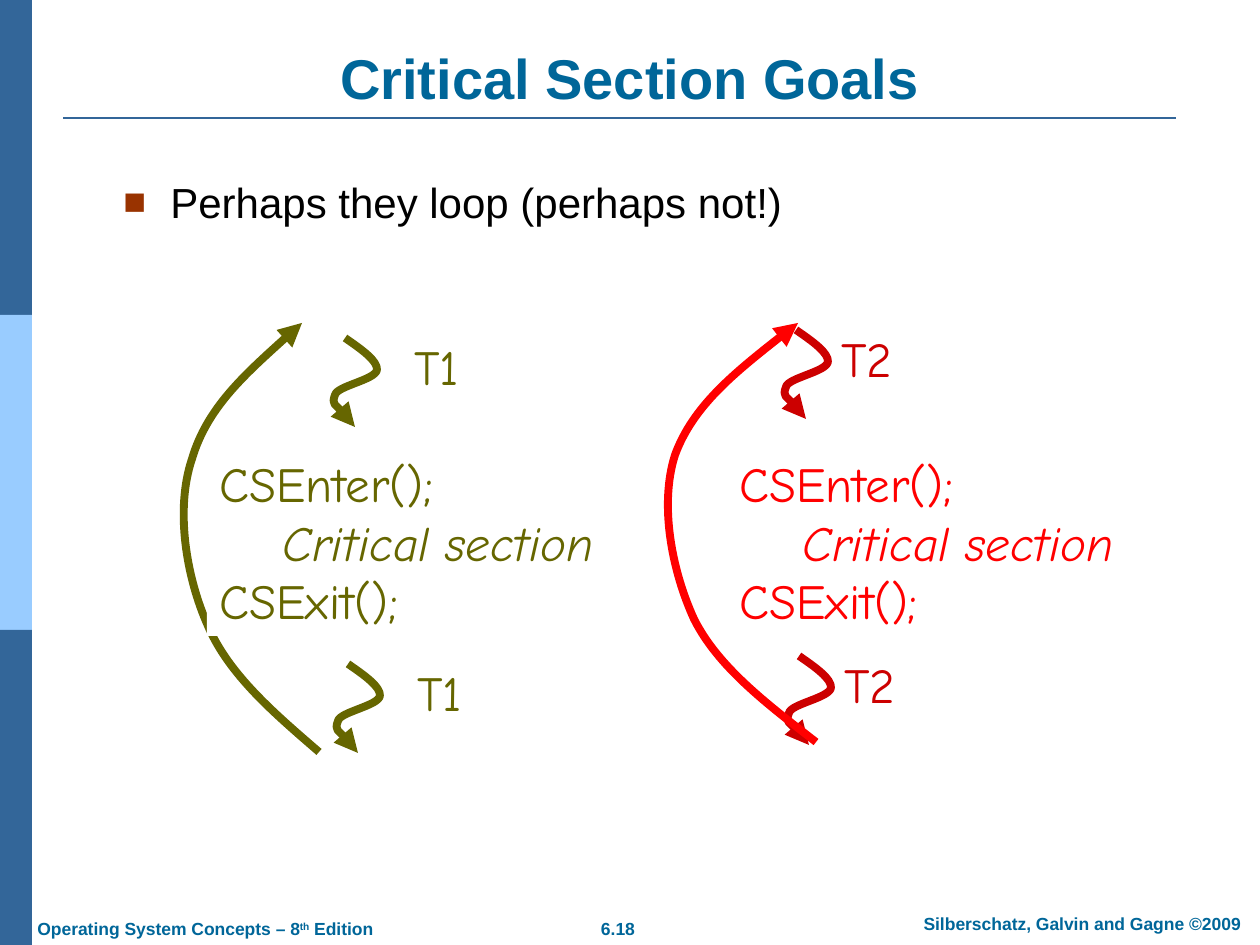
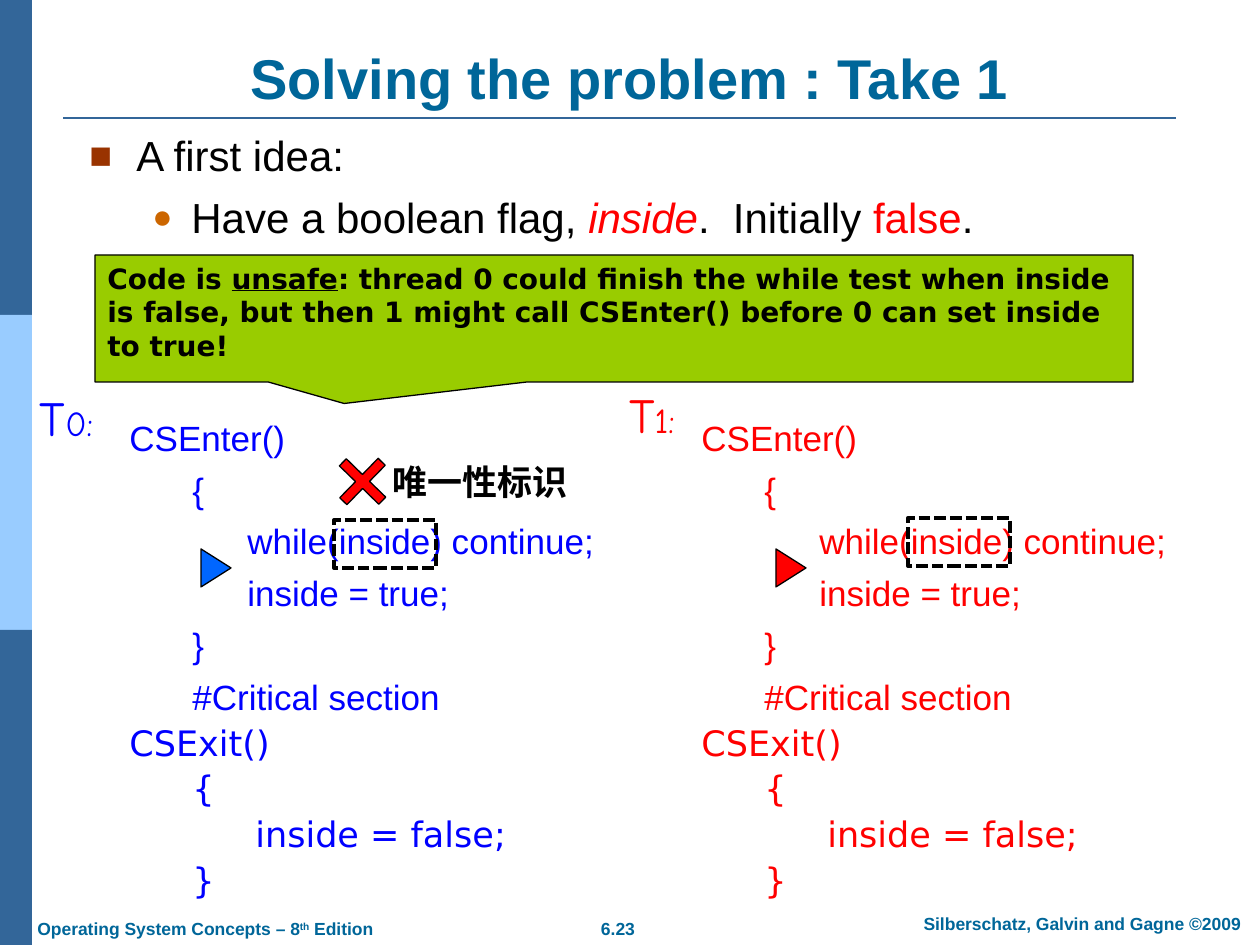
from dataclasses import dataclass, replace

from lxml.etree import SubElement
from pptx import Presentation
from pptx.dml.color import RGBColor
from pptx.enum.dml import MSO_LINE
from pptx.enum.shapes import MSO_CONNECTOR, MSO_SHAPE
from pptx.enum.text import MSO_ANCHOR, PP_ALIGN
from pptx.oxml.ns import qn
from pptx.util import Emu, Pt

SCALE = 914400 / 126  # EMU in one px
WIDTH, HEIGHT = 1260, 945

BLACK = RGBColor(0x00, 0x00, 0x00)
WHITE = RGBColor(0xFF, 0xFF, 0xFF)
NAVY = RGBColor(0x33, 0x66, 0x99)
SKY = RGBColor(0x99, 0xCC, 0xFF)
TEAL = RGBColor(0x00, 0x66, 0x99)
OLIVE = RGBColor(0x66, 0x66, 0x00)
CRIMSON = RGBColor(0xCC, 0x00, 0x00)
RED = RGBColor(0xFF, 0x00, 0x00)
BLUE = RGBColor(0x00, 0x00, 0xFF)
AZURE = RGBColor(0x00, 0x66, 0xFF)
LIME = RGBColor(0x99, 0xCC, 0x00)
RUST = RGBColor(0x99, 0x33, 0x00)
ORANGE = RGBColor(0xCC, 0x66, 0x00)

SANS, HAND, WIDE = "Arial", "Comic Neue", "DejaVu Sans"
LEFT, CENTER, RIGHT = PP_ALIGN.LEFT, PP_ALIGN.CENTER, PP_ALIGN.RIGHT
TOP, MIDDLE, BOTTOM = MSO_ANCHOR.TOP, MSO_ANCHOR.MIDDLE, MSO_ANCHOR.BOTTOM


def px(n):
    return Emu(round(n * SCALE))


@dataclass(frozen=True)
class Style:
    size: int
    color: RGBColor
    font: str = SANS
    bold: bool = False
    italic: bool = False
    underline: bool = False
    raised: bool = False


@dataclass(frozen=True)
class Bullet:
    char: str
    color: RGBColor
    percent: int
    hang: int


@dataclass(frozen=True)
class Para:
    runs: list  # (text, Style) pairs
    indent: int = 0
    before: float = 0
    spacing: float = 1.0
    bullet: Bullet = None


TITLE = Style(32, TEAL, bold=True)
FOOTER = Style(10, TEAL, bold=True)
BODY = Style(24, BLACK)
SQUARE = Bullet("■", RUST, 90, 47)
DOT = Bullet("●", ORANGE, 80, 39)


class Deck:
    """Holds the shared look and the slide being built."""

    def __init__(self):
        self.prs = Presentation()
        self.prs.slide_width, self.prs.slide_height = px(WIDTH), px(HEIGHT)
        self.s = None

    def new_slide(self, title, number):
        self.s = self.prs.slides.add_slide(self.prs.slide_layouts[6])
        band = HEIGHT // 3
        for i, color in enumerate((NAVY, SKY, NAVY)):
            self.shape(MSO_SHAPE.RECTANGLE, (0, i * band, 32, band), color)
        self.rule(63, 1176, 118)
        self.line_of_text((587, 911, 62, 34), number, FOOTER)
        self.text((878, 907, 375, 34),
                  [Para([("Silberschatz, Galvin and Gagne ©2009", FOOTER)])], align=RIGHT)
        self.text((25, 912, 363, 34),
                  [Para([("Operating System Concepts – 8", FOOTER),
                         ("th", replace(FOOTER, raised=True)),
                         (" Edition", FOOTER)])])
        self.text((63, 38, 1134, 79), [Para([(title, TITLE)])], BOTTOM, CENTER)

    def rule(self, x1, x2, y):
        c = self.s.shapes.add_connector(MSO_CONNECTOR.STRAIGHT, px(x1), px(y), px(x2), px(y))
        c.line.color.rgb, c.line.width = NAVY, Pt(1.5)
        SubElement(c._element.spPr, qn("a:effectLst"))

    def shape(self, kind, box, fill=None, line=None, width=0.75, rotation=0, adjust=()):
        sp = self.s.shapes.add_shape(kind, *map(px, box))
        sp.shadow.inherit = False
        sp.rotation = rotation
        for i, value in enumerate(adjust):
            sp.adjustments[i] = value
        if fill is None:
            sp.fill.background()
        else:
            sp.fill.solid()
            sp.fill.fore_color.rgb = fill
        if line is None:
            sp.line.fill.background()
        else:
            sp.line.color.rgb, sp.line.width = line, Pt(width)
        return sp

    def text(self, box, paras, anchor=TOP, align=LEFT, wrap=True):
        sp = self.s.shapes.add_textbox(*map(px, box))
        self.set_text(sp, paras, anchor, align, wrap)

    def line_of_text(self, box, text, style):
        self.text(box, [Para([(text, style)])], MIDDLE, CENTER, wrap=False)

    def set_text(self, sp, paras, anchor=TOP, align=LEFT, wrap=True):
        tf = sp.text_frame
        tf.word_wrap, tf.vertical_anchor = wrap, anchor
        for i, para in enumerate(paras):
            p = tf.add_paragraph() if i else tf.paragraphs[0]
            p.alignment, p.line_spacing = align, para.spacing
            p.space_before = Pt(para.before if i else 0)
            self.indent(p, para)
            for text, style in para.runs:
                self.run(p, text, style)

    def indent(self, p, para):
        pPr = p._p.get_or_add_pPr()
        pPr.set("marL", str(px(para.indent)))
        b = para.bullet
        pPr.set("indent", str(px(-b.hang if b else 0)))
        if b:
            color = SubElement(pPr, qn("a:buClr"))
            SubElement(color, qn("a:srgbClr"), val=str(b.color))
            SubElement(pPr, qn("a:buSzPct"), val=str(b.percent * 1000))
            SubElement(pPr, qn("a:buFont"), typeface=SANS)
            SubElement(pPr, qn("a:buChar"), char=b.char)

    def run(self, p, text, style):
        r = p.add_run()
        r.text = text
        f = r.font
        f.name, f.size, f.color.rgb = style.font, Pt(style.size), style.color
        f.bold, f.italic, f.underline = style.bold, style.italic, style.underline
        if style.raised:
            r._r.get_or_add_rPr().set("baseline", "30000")

    def curve(self, points, color):
        """Draw an arrow along cubic curves: a start, then three points per curve."""
        start, *rest = points
        fb = self.s.shapes.build_freeform(*start, scale=SCALE)
        fb.add_line_segments(rest, close=False)
        sp = fb.convert_to_shape()
        sp.shadow.inherit = False
        sp.fill.background()
        sp.line.color.rgb, sp.line.width = color, Pt(4.5)
        SubElement(sp._element.spPr.find(qn("a:ln")), qn("a:tailEnd"), type="triangle")
        outline = next(sp._element.iter(qn("a:path")))
        steps = outline.findall(qn("a:lnTo"))
        for i in range(0, len(steps), 3):
            bezier = SubElement(outline, qn("a:cubicBezTo"))
            for step in steps[i:i + 3]:
                bezier.append(step[0])
                outline.remove(step)


THREAD_WIGGLE = [(0, 0), (16, 11), (33, 23), (32, 32), (30, 42), (-8, 48),
                 (-10, 57), (-14, 67), (7, 83), (10, 89)]
T1_LOOP = [(319, 752), (275, 714), (229, 675), (208, 626), (186, 577),
           (175, 509), (192, 459), (207, 408), (255, 365), (302, 323)]
T2_LOOP = [(816, 742), (767, 704), (718, 667), (694, 619), (672, 571),
           (659, 505), (675, 455), (693, 406), (745, 364), (798, 323)]


def critical_section_code(color):
    style = Style(28, color, HAND)
    return [Para([("CSEnter();", style)]),
            Para([("Critical section", replace(style, italic=True))], indent=63),
            Para([("CSExit();", style)])]


def goals_slide(deck):
    deck.new_slide("Critical Section Goals", "6.18")
    deck.text((111, 170, 1134, 87),
              [Para([("Perhaps they loop (perhaps not!)", BODY)], 47, bullet=SQUARE)])
    deck.text((727, 447, 456, 189), critical_section_code(RED), MIDDLE)
    threads = [("T1", OLIVE, 345, 338, 51, 81), ("T2", CRIMSON, 796, 330, 27, 88)]
    for name, color, left, top, gap, width in threads:
        for x, y in ((left, top), (left + 3, top + 326)):
            deck.curve([(x + dx, y + dy) for dx, dy in THREAD_WIGGLE], color)
            deck.line_of_text((x + gap, y - 8, width, 72), name, Style(28, color, HAND))
    deck.curve(T1_LOOP, OLIVE)
    deck.curve(T2_LOOP, RED)
    sp = deck.shape(MSO_SHAPE.RECTANGLE, (207, 447, 456, 189), WHITE)
    deck.set_text(sp, critical_section_code(OLIVE), MIDDLE)


ENTER_LINES = [("CSEnter()", 0), ("{", 63), ("while(inside) continue;", 118),
               ("inside = true;", 118), ("}", 63), ("#Critical section", 63)]
EXIT_LINES = [("CSExit()", 0), ("{", 63), ("inside = false;", 126), ("}", 63)]


def flag_code(color):
    parts = [(ENTER_LINES, SANS, 8), (EXIT_LINES, WIDE, 4.5)]
    return [Para([(text, Style(20, color, font))], indent, before, 0.9)
            for lines, font, before in parts for text, indent in lines]


def take_one_slide(deck):
    deck.new_slide("Solving the problem : Take 1", "6.23")
    red = replace(BODY, color=RED)
    deck.text((77, 129, 1147, 126), [
        Para([("A first idea:", BODY)], 47, 0, 0.9, SQUARE),
        Para([("Have a boolean flag, ", BODY), ("inside", replace(red, italic=True)),
              (".  Initially ", BODY), ("false", red), (".", BODY)],
             102, 9.5, 0.9, DOT)])

    warning = Style(16, BLACK, WIDE, bold=True)
    sp = deck.shape(MSO_SHAPE.RECTANGULAR_CALLOUT, (95, 255, 1038, 127), LIME, BLACK,
                    adjust=(-0.26, 0.67))
    deck.set_text(sp, [Para([
        ("Code is ", warning), ("unsafe", replace(warning, underline=True)),
        (": thread 0 could finish the while test when inside is false, but then 1 "
         "might call CSEnter() before 0 can set inside to true!", warning)])])

    threads = [("0:", BLUE, AZURE, 117, (21, 381, 91, 72), 197, (334, 520)),
               ("1:", RED, RED, 689, (609, 378, 86, 72), 772, (908, 518))]
    for number, color, marker, code_x, label_box, marker_x, test_at in threads:
        deck.text((code_x, 415, 514, 476), flag_code(color))
        deck.shape(MSO_SHAPE.ISOSCELES_TRIANGLE, (marker_x, 553, 38, 30), marker, BLACK,
                   rotation=90)
        deck.text(label_box, [Para([("T", Style(28, color, HAND)),
                                    (number, Style(20, color, HAND))])],
                  MIDDLE, CENTER, wrap=False)
        test = deck.shape(MSO_SHAPE.RECTANGLE, (*test_at, 102, 48), line=BLACK, width=2.25)
        test.line.dash_style = MSO_LINE.SQUARE_DOT

    deck.text((380, 454, 203, 55),
              [Para([("唯一性标识", Style(20, BLACK, WIDE, bold=True))])], wrap=False)
    deck.shape(MSO_SHAPE.CROSS, (335, 454, 55, 55), RED, BLACK, rotation=44.2,
               adjust=(0.41,))


def main():
    deck = Deck()
    goals_slide(deck)
    take_one_slide(deck)
    deck.prs.save("out.pptx")


if __name__ == "__main__":
    main()
